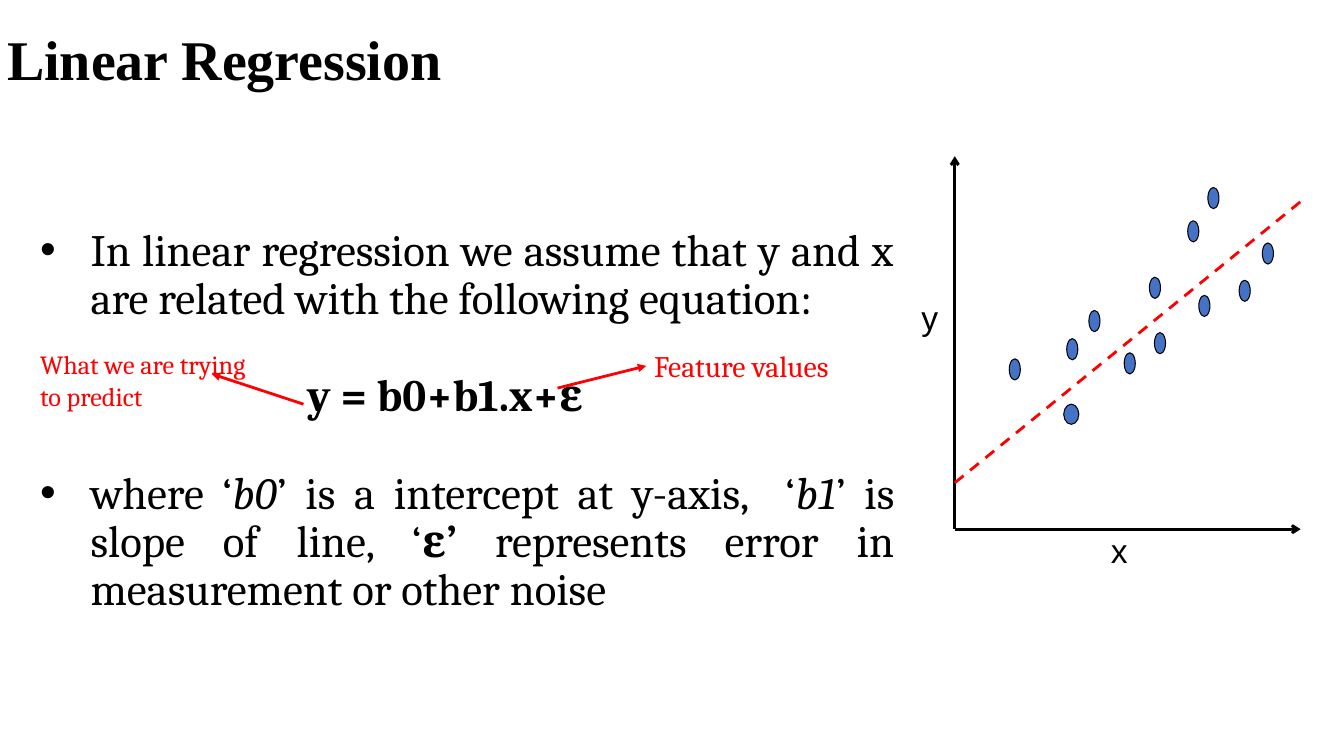
from lxml import etree
from pptx import Presentation
from pptx import util as u
from pptx.dml.color import RGBColor
from pptx.enum import dml, shapes, text
from pptx.oxml import ns

COLOURS = {"ink": "000000", "accent": "FF0000", "dot": "4472C4"}
DOT_SIZE = (0.11, 0.21)
# Left and top of each dot, measured from the top of the y axis
DOTS = [(0.54, 2.01), (2.82, 1.23), (2.42, 1.38), (1.93, 1.2), (1.68, 1.95),
        (1.11, 1.81), (2.31, 0.64), (1.98, 1.75), (1.33, 1.53), (3.05, 0.86),
        (2.51, 0.31)]
WIDE_DOT = (1.08, 2.46, 0.15, 0.2)


def colour(name):
    """Return a named colour as RGB."""
    return RGBColor.from_string(COLOURS[name])


def add_span(para, words, size, font, ink="ink", bold=False, italic=False):
    """Append one formatted run to a paragraph."""
    span = para.add_run()
    span.text = words
    span.font.size, span.font.name = u.Pt(size), font
    span.font.bold, span.font.italic = bold, italic
    span.font.color.rgb = colour(ink)


def add_box(page, left, top, width, height):
    """Add a wrapping text box and return its text frame."""
    box = page.shapes.add_textbox(*map(u.Inches, (left, top, width, height)))
    box.text_frame.word_wrap = True
    return box.text_frame


def add_label(page, box, words, size, font, ink="ink"):
    """Add a text box holding a single run."""
    add_span(add_box(page, *box).paragraphs[0], words, size, font, ink)


def add_line(page, start, end, ink="ink", head=None, dash=None):
    """Draw a straight line, with an optional arrowhead at its end."""
    line = page.shapes.add_connector(
        shapes.MSO_CONNECTOR.STRAIGHT, *map(u.Inches, (*start, *end)))
    line.line.width = u.Pt(2)
    line.line.color.rgb = colour(ink)
    if dash:
        line.line.dash_style = dash
    if head:
        outline = line._element.spPr.find(ns.qn("a:ln"))
        etree.SubElement(outline, ns.qn("a:tailEnd"), type=head)
    etree.SubElement(line._element.spPr, ns.qn("a:effectLst"))


def add_dot(page, left, top, width, height):
    """Draw one data point."""
    dot = page.shapes.add_shape(
        shapes.MSO_SHAPE.OVAL, *map(u.Inches, (left, top, width, height)))
    dot.shadow.inherit = False
    dot.fill.solid()
    dot.fill.fore_color.rgb = colour("dot")
    dot.line.color.rgb = colour("ink")
    dot.line.width = u.Pt(0.75)


def set_indent(para, margin, first=0.0, bullet=None):
    """Set a paragraph's left margin, first-line indent and bullet."""
    props = para._p.get_or_add_pPr()
    props.set("marL", str(u.Inches(margin)))
    props.set("indent", str(u.Inches(first)))
    if bullet:
        etree.SubElement(props, ns.qn("a:buFont"), typeface="Arial")
        etree.SubElement(props, ns.qn("a:buChar"), char=bullet)


def fill_title(page, left, top, width, height):
    """Place and format the slide title."""
    title = page.shapes.title
    title.left, title.top, title.width, title.height = map(
        u.Inches, (left, top, width, height))
    frame = title.text_frame
    frame.vertical_anchor = text.MSO_ANCHOR.MIDDLE
    para = frame.paragraphs[0]
    para.alignment = text.PP_ALIGN.LEFT
    para.line_spacing = 0.9
    add_span(para, "Linear Regression", 40, "Times New Roman", bold=True)


def add_explanation(page, left, top, width, height):
    """Write the two bullets with the equation between them."""
    frame = add_box(page, left, top, width, height)
    plain, bold, italic = {}, {"bold": True}, {"italic": True}
    bullet = (0.5, -0.5, "•")
    # Indent, space before in points, and spans of each paragraph
    paragraphs = [
        (bullet, 0, [("In linear regression we assume that y and x are related "
                      "with the following equation:", plain)]),
        ((2.65,), 34.5, [("y = b0+b1.x+ε", bold)]),
        (bullet, 35, [("where ‘", plain), ("b0", italic),
                      ("’ is a intercept at y-axis,  ‘", plain), ("b1", italic),
                      ("’ is slope of line, ‘", plain), ("ε’ ", bold),
                      ("represents error in measurement or other noise", plain)]),
    ]
    for index, (indent, before, spans) in enumerate(paragraphs):
        para = frame.add_paragraph() if index else frame.paragraphs[0]
        para.alignment = text.PP_ALIGN.JUSTIFY
        para.line_spacing = 0.9
        para.space_before = u.Pt(before)
        set_indent(para, *indent)
        for words, style in spans:
            add_span(para, words, 32, "Cambria", **style)


def add_callouts(page, left, top):
    """Add the red notes and the arrows from the equation to them."""
    add_label(page, (left, top + 0.01, 2.24, 0.73),
              "What we are trying to predict", 18.7, "Cambria", "accent")
    add_label(page, (left + 6.09, top, 2.89, 0.46),
              "Feature values", 21.3, "Cambria", "accent")
    for start, end in [((2.71, 0.61), (1.8, 0.31)), ((5.23, 0.45), (6.11, 0.23))]:
        add_line(page, (left + start[0], top + start[1]),
                 (left + end[0], top + end[1]), "accent", "triangle")


def add_plot(page, left, top, width, height):
    """Draw the axes, the fitted line, the points and the axis names."""
    axis, right, bottom = left + 0.43, left + width, top + height
    origin = (axis, bottom)
    add_line(page, origin, (right, bottom), head="arrow")
    add_line(page, origin, (axis, top), head="arrow")
    add_line(page, (axis, bottom - 0.46), (right, top + 0.45), "accent",
             dash=dml.MSO_LINE.DASH)
    for across, down, *size in [(*spot, *DOT_SIZE) for spot in DOTS] + [WIDE_DOT]:
        add_dot(page, axis + across, top + down, *size)
    add_label(page, (left + 1.88, bottom - 0.04, 0.49, 0.5), "x", 24, "Arial")
    add_label(page, (left, top + 1.35, 0.57, 0.5), "y", 24, "Arial")


def build_slide(deck):
    """Add the linear regression slide."""
    page = deck.slides.add_slide(deck.slide_layouts.get_by_name("Title Only"))
    fill_title(page, -0.03, 0.21, 13.36, 0.81)
    add_explanation(page, 0.3, 2.21, 8.67, 3.98)
    add_callouts(page, 0.3, 3.4)
    add_plot(page, 9.04, 1.55, 3.86, 3.7)


deck = Presentation()
deck.slide_width, deck.slide_height = u.Inches(13.33), u.Inches(7.5)
build_slide(deck)
deck.save("out.pptx")
